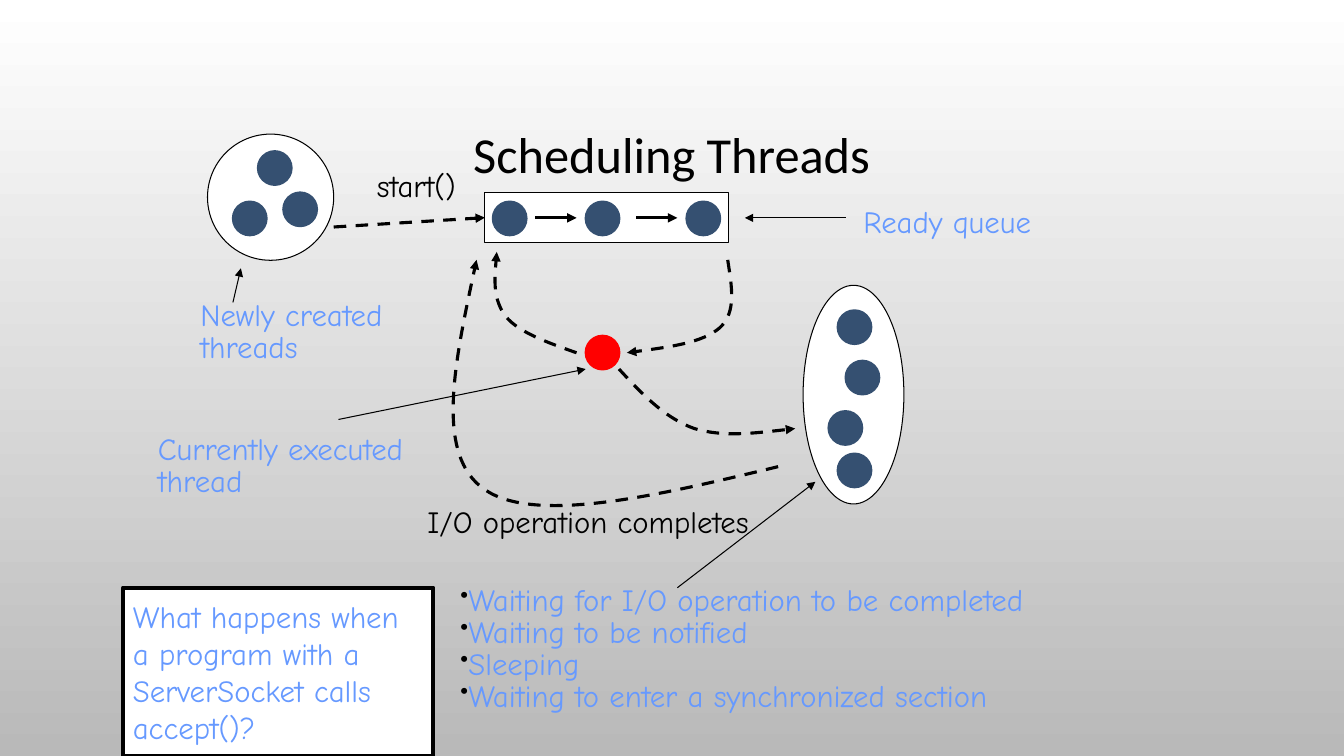
"""Build the slide on how threads are scheduled."""
from lxml import etree
from pptx import Presentation
from pptx import util as u
from pptx.dml.color import RGBColor
from pptx.enum import dml, shapes, text
from pptx.oxml.ns import qn

BLACK, WHITE = "000000", "FFFFFF"
NAVY, RED, BLUE = "355071", "FF0000", "6699FF"
THREAD_SIZE = 0.85


def paint(color, value):
    """Set a colour format from a hex string."""
    color.rgb = RGBColor.from_string(value)


def box(slide, kind, place, fill, line, width):
    """Add a filled and outlined preset shape."""
    shape = slide.shapes.add_shape(kind, *map(u.Cm, place))
    shape.shadow.inherit = False
    shape.fill.solid()
    paint(shape.fill.fore_color, fill)
    paint(shape.line.color, line)
    shape.line.width = u.Pt(width)
    return shape


def oval(slide, *place):
    """Add a white pool that holds threads."""
    return box(slide, shapes.MSO_SHAPE.OVAL, place, WHITE, BLACK, 0.75)


def thread(slide, left, top, color=NAVY):
    """Add one thread as a small disc."""
    place = (left, top, THREAD_SIZE, THREAD_SIZE)
    box(slide, shapes.MSO_SHAPE.OVAL, place, color, color, 1.5)


def style_arrow(arrow, width, dashed):
    """Give a line its colour, width, dash and arrowhead."""
    paint(arrow.line.color, BLACK)
    arrow.line.width = u.Pt(width)
    if dashed:
        arrow.line.dash_style = dml.MSO_LINE.DASH
    properties = arrow.element.spPr
    etree.SubElement(properties.find(qn("a:ln")), qn("a:tailEnd"), type="triangle")
    etree.SubElement(properties, qn("a:effectLst"))


def straight_arrow(slide, start, end, width=0.75, dashed=False):
    """Add a straight arrow between two points."""
    arrow = slide.shapes.add_connector(
        shapes.MSO_CONNECTOR.STRAIGHT, *map(u.Cm, start + end))
    style_arrow(arrow, width, dashed)
    return arrow


def curved_arrow(slide, start, *controls):
    """Add a dashed arrow along cubic curves, three points to each."""
    builder = slide.shapes.build_freeform(*map(u.Cm, start))
    builder.add_line_segments(
        [(u.Cm(x), u.Cm(y)) for x, y in controls], close=False)
    arrow = builder.convert_to_shape()
    arrow.fill.background()
    style_arrow(arrow, 2.25, True)
    segments = list(arrow.element.iter(qn("a:lnTo")))
    for first in range(0, len(segments), 3):
        curve = etree.Element(qn("a:cubicBezTo"))
        segments[first].addprevious(curve)
        for segment in segments[first:first + 3]:
            curve.append(segment[0])
            segment.getparent().remove(segment)


def write(frame, lines, color, size=22, font="Comic Neue", spacing=None,
          before=None, align=text.PP_ALIGN.LEFT):
    """Write each line as a paragraph and return the paragraphs."""
    frame.word_wrap = True
    for number, line in enumerate(lines):
        paragraph = frame.add_paragraph() if number else frame.paragraphs[0]
        paragraph.alignment = align
        paragraph.line_spacing = spacing
        paragraph.space_before = before
        run = paragraph.add_run()
        run.text = line
        run.font.size = u.Pt(size)
        run.font.name = font
        paint(run.font.color, color)
    return frame.paragraphs


def label(slide, place, lines, color=BLUE):
    """Add a tightly spaced label and return its paragraphs."""
    frame = slide.shapes.add_textbox(*map(u.Cm, place)).text_frame
    return write(frame, lines, color, spacing=0.7, before=u.Pt(4.4))


def add_bullet(paragraph):
    """Put a small black bullet before a paragraph."""
    properties = paragraph._p.get_or_add_pPr()
    color = etree.SubElement(properties, qn("a:buClr"))
    etree.SubElement(color, qn("a:srgbClr"), val=BLACK)
    etree.SubElement(properties, qn("a:buSzPct"), val="75000")
    etree.SubElement(properties, qn("a:buChar"), char="•")


def add_background(slide):
    """Shade the slide from white down to grey."""
    fill = slide.background.fill
    fill.gradient()
    fill.gradient_angle = 270
    for stop, color in zip(fill.gradient_stops, (WHITE, "B9B9B9")):
        paint(stop.color, color)


def add_title(slide):
    """Add the centred title."""
    place = (2.54, 1.73, 28.78, 4.45)
    frame = slide.shapes.add_textbox(*map(u.Cm, place)).text_frame
    frame.vertical_anchor = text.MSO_ANCHOR.MIDDLE
    write(frame, ["Scheduling Threads"], BLACK, 36, "Calibri", 0.9,
          align=text.PP_ALIGN.CENTER)


def add_threads(slide):
    """Add the pools, the ready queue and every thread."""
    oval(slide, 20.24, 7.19, 2.54, 5.51)
    queue = box(slide, shapes.MSO_SHAPE.RECTANGLE, (12.22, 4.85, 6.15, 1.27),
                WHITE, BLACK, 0.75)
    oval(slide, 5.23, 3.38, 3.18, 3.18)
    created = [(5.87, 5.08), (6.5, 3.81), (7.14, 4.85)]
    ready = [(left, 5.08) for left in (12.42, 14.76, 17.3)]
    waiting = [(20.88, 10.36), (21.11, 7.82), (21.31, 9.09), (21.11, 11.43)]
    for position in created + ready + waiting:
        thread(slide, *position)
    thread(slide, 14.76, 8.46, RED)
    return queue


def add_transitions(slide, queue):
    """Add the arrows that move threads between states."""
    for left in (13.49, 16.03):
        straight_arrow(slide, (left, 5.49), (left + 1.04, 5.49), 2.25)
    start = straight_arrow(slide, (8.41, 5.72), (12.22, 5.49), 2.25, True)
    start.end_connect(queue, 1)
    curved_arrow(slide, (18.34, 6.55), (18.44, 7.21), (18.57, 7.87),
                 (18.14, 8.26), (17.7, 8.64), (16.76, 8.76), (15.8, 8.89))
    curved_arrow(slide, (15.6, 9.3), (16.18, 9.93), (16.76, 10.54),
                 (17.5, 10.8), (18.24, 11.02), (19.15, 10.9), (20.04, 10.8))
    curved_arrow(slide, (14.53, 8.89), (13.82, 8.64), (13.08, 8.38),
                 (12.75, 7.98), (12.42, 7.54), (12.47, 6.93), (12.52, 6.35))
    curved_arrow(slide, (19.61, 11.76), (16.54, 12.5), (13.49, 13.21),
                 (12.22, 12.34), (10.95, 11.48), (11.48, 9.02), (12.01, 6.55))


def add_labels(slide):
    """Add the labels and the thin arrows that point from them."""
    label(slide, (10.52, 12.8, 9.47, 0.91), ["I/O operation completes"], BLACK)
    label(slide, (9.25, 4.34, 2.95, 0.91), ["start()"], BLACK)
    label(slide, (3.73, 10.95, 7.54, 1.75), ["Currently executed", "thread"])
    straight_arrow(slide, (8.53, 10.57), (14.76, 9.3))
    label(slide, (21.51, 5.23, 4.98, 0.91), ["Ready queue"])
    straight_arrow(slide, (21.31, 5.49), (18.77, 5.49))
    reasons = label(slide, (11.35, 14.76, 16.36, 3.43), [
        "Waiting for I/O operation to be completed", "Waiting to be notified",
        "Sleeping", "Waiting to enter a synchronized section"])
    for reason in reasons:
        add_bullet(reason)
    straight_arrow(slide, (17.07, 14.81), (20.55, 12.14))
    label(slide, (4.8, 7.57, 5.77, 1.75), ["Newly created", "threads"])
    straight_arrow(slide, (5.87, 7.62), (6.07, 6.76))


def add_question(slide):
    """Add the framed question."""
    question = box(slide, shapes.MSO_SHAPE.RECTANGLE, (3.1, 14.81, 7.82, 4.24),
                   WHITE, BLACK, 3)
    question.text_frame.vertical_anchor = text.MSO_ANCHOR.MIDDLE
    write(question.text_frame, ["What happens when", "a program with a",
                                "ServerSocket calls", "accept()?"], BLUE)


def main():
    """Build and save the slide."""
    deck = Presentation()
    deck.slide_width, deck.slide_height = u.Cm(33.87), u.Cm(19.05)
    slide = deck.slides.add_slide(deck.slide_layouts[6])
    add_background(slide)
    add_title(slide)
    queue = add_threads(slide)
    add_transitions(slide, queue)
    add_labels(slide)
    add_question(slide)
    deck.save("out.pptx")


if __name__ == "__main__":
    main()
